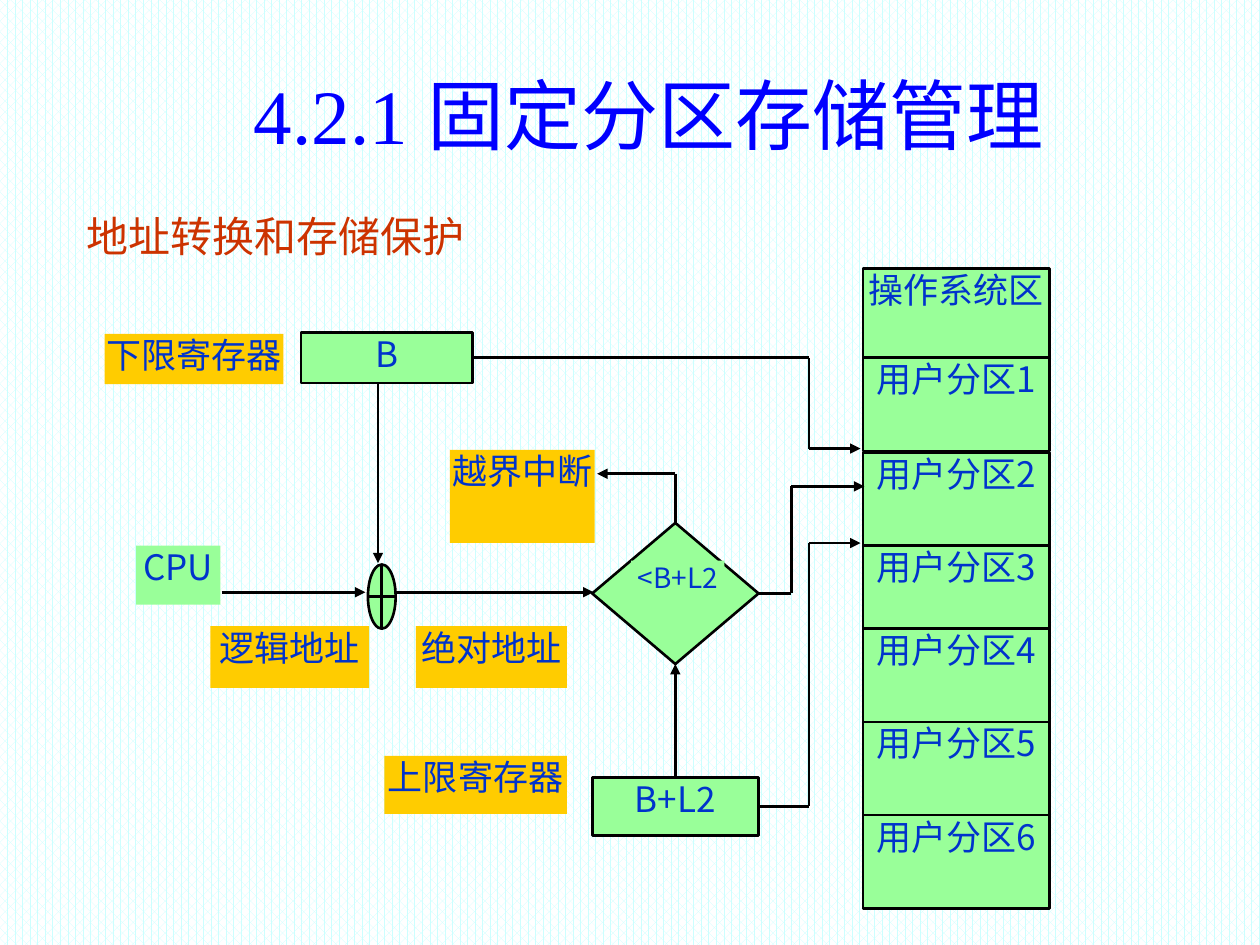
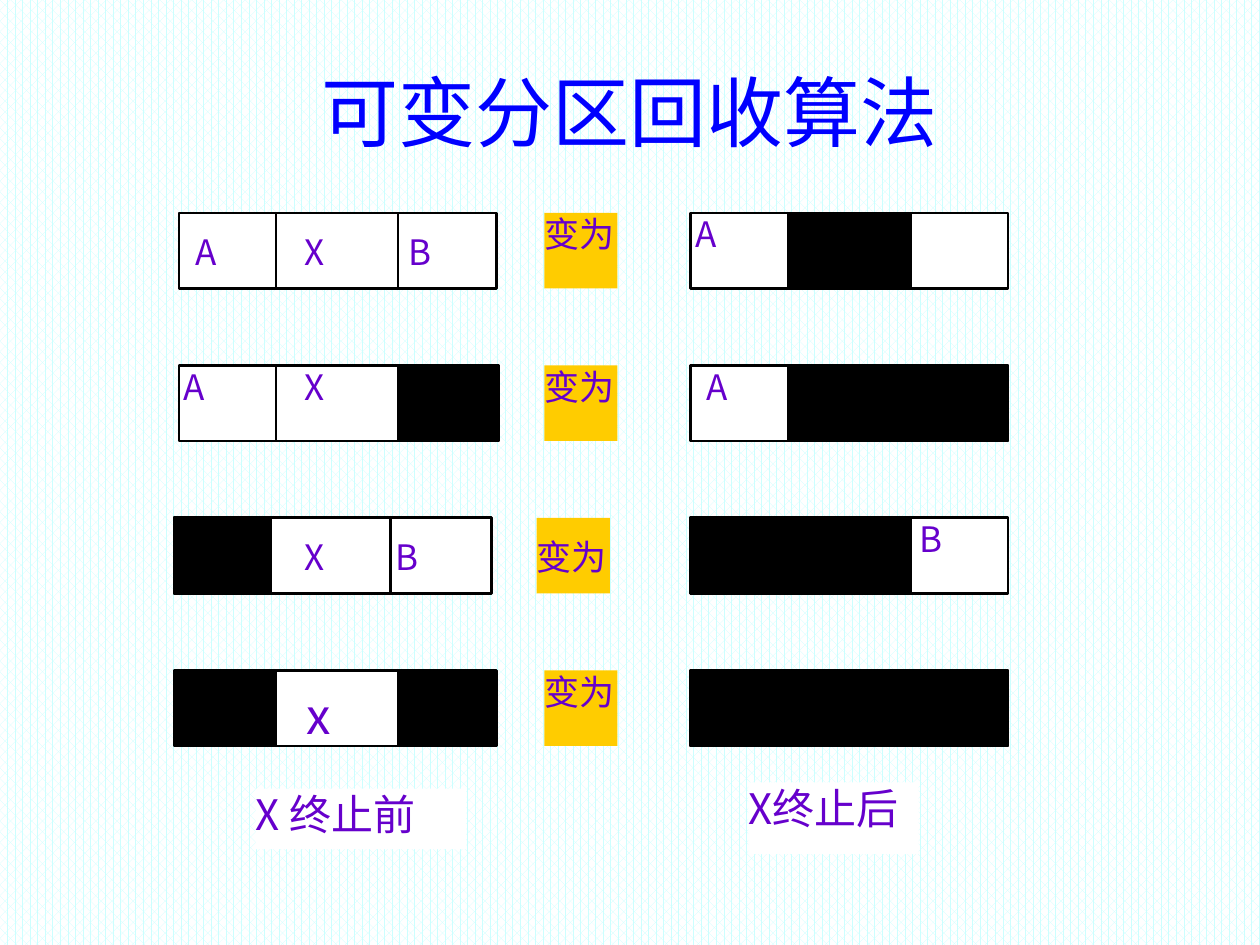
from lxml import etree
from pptx import Presentation
from pptx.dml.color import RGBColor
from pptx.enum.dml import MSO_PATTERN
from pptx.enum.shapes import MSO_CONNECTOR, MSO_SHAPE
from pptx.enum.text import MSO_ANCHOR, PP_ALIGN
from pptx.oxml.ns import qn
from pptx.util import Cm, Pt

RECT = MSO_SHAPE.RECTANGLE
DIAMOND = MSO_SHAPE.FLOWCHART_DECISION
OR = MSO_SHAPE.FLOWCHART_OR
STRAIGHT = MSO_CONNECTOR.STRAIGHT
CENTER, LEFT = PP_ALIGN.CENTER, PP_ALIGN.LEFT
TOP, MIDDLE = MSO_ANCHOR.TOP, MSO_ANCHOR.MIDDLE
DOTS = MSO_PATTERN.PERCENT_60

SANS, SERIF = "Noto Sans CJK JP", "Times New Roman"
GREEN, GOLD, WHITE, BLACK = "99FF99", "FFCC00", "FFFFFF", "000000"
CYAN, BLUE, NAVY, RED, PURPLE = "CCFFFF", "0000FF", "0033CC", "CC3300", "6600CC"

LABELS = [
    ("下限寄存器", 0.83, 2.65, 1.42, 0.4, GOLD),
    ("逻辑地址", 1.67, 4.97, 1.26, 0.49, GOLD),
    ("绝对地址", 3.3, 4.97, 1.2, 0.49, GOLD),
    ("上限寄存器", 3.05, 6, 1.45, 0.46, GOLD),
    ("越界中断", 3.57, 3.57, 1.15, 0.74, GOLD),
    ("CPU", 1.08, 4.33, 0.67, 0.47, GREEN),
]
NODES = {
    "base": ("B", RECT, 2.39, 2.64, 1.36, 0.4),
    "limit": ("B+L2", RECT, 4.7, 6.17, 1.32, 0.46),
    "test": ("", DIAMOND, 4.7, 4.15, 1.32, 1.12),
    "adder": ("", OR, 2.92, 4.48, 0.22, 0.51),
}
ZONES = [
    ("操作系统区", 2.13), ("用户分区1", 2.84), ("用户分区2", 3.59),
    ("用户分区3", 4.33), ("用户分区4", 4.99), ("用户分区5", 5.73),
    ("用户分区6", 6.47),
]
ROUTES = [
    (("base", 3), None, [(3.75, 2.84), (6.42, 2.84), (6.42, 3.56), (6.83, 3.56)]),
    (("test", 3), None, [(6.02, 4.71), (6.28, 4.71), (6.28, 3.86), (6.86, 3.86)]),
    (("limit", 3), None, [(6.02, 6.4), (6.42, 6.4), (6.42, 4.31), (6.83, 4.31)]),
    (("test", 0), None, [(5.36, 4.15), (5.36, 3.76), (4.74, 3.76)]),
    (("limit", 0), ("test", 2), [(5.36, 6.17), (5.36, 5.27)]),
    (None, None, [(1.76, 4.7), (2.9, 4.7)]),
    (None, None, [(3.13, 4.7), (4.71, 4.7)]),
]

ROW_TOP, ROW_STEP, BAR_W, BAR_H = 1.69, 1.21, 2.52, 0.6
BEFORE = [
    dict(left=1.42, pad=0.14, marks=[("A", 0.13), ("X", 1), ("B", 1.82)],
         cuts=[2.19, 3.16], used=[]),
    dict(left=1.42, pad=0, marks=[("A", 0.04), ("X", 1)],
         cuts=[2.19, 3.16], used=[(3.18, 0.78)]),
    dict(left=1.38, pad=0.14, marks=[("X", 1.04), ("B", 1.76)],
         cuts=[3.1], used=[(1.38, 0.77)]),
    dict(left=1.38, pad=0.12, marks=[("x", 1.05)], size=28,
         cuts=[2.19, 3.16], used=[(1.4, 0.77), (3.16, 0.78)]),
]
AFTER = [
    dict(left=5.48, pad=0, marks=[("A", 0.04)], cuts=[6.26, 7.23], used=[(6.26, 0.97)]),
    dict(left=5.48, pad=0, marks=[("A", 0.13)], cuts=[6.26], used=[(6.26, 1.74)]),
    dict(left=5.48, pad=0, marks=[("B", 1.82)], cuts=[7.23], used=[(5.48, 1.74)]),
    dict(left=5.48, pad=0, marks=[], cuts=[], used=[(5.48, 2.52)]),
]
TURNS = [(4.32, 0), (4.32, 0), (4.26, 0.14), (4.32, 0)]
NOTES = [("X 终止前", 2.03, 6.26, 1.67, 0.48), ("X终止后", 5.94, 6.21, 1.35, 0.57)]


def dist(inches):
    return Cm(inches * 2.54)


def rgb(code):
    return RGBColor.from_string(code)


def write(shape, text, size, color, align, font=SANS):
    para = shape.text_frame.paragraphs[0]
    para.text = text
    para.alignment = align
    for run in para.runs:
        run.font.size = Pt(size)
        run.font.name = font
        run.font.color.rgb = rgb(color)
        east = etree.SubElement(run.font._element, qn("a:ea"))
        east.set("typeface", SANS)


def box(slide, kind, left, top, width, height, fill, edge=False, pad=0):
    shape = slide.shapes.add_shape(kind, *map(dist, (left, top, width, height)))
    shape.shadow.inherit = False
    shape.fill.solid()
    shape.fill.fore_color.rgb = rgb(fill)
    if edge:
        shape.line.color.rgb = rgb(BLACK)
        shape.line.width = Pt(1.5)
    else:
        shape.line.fill.background()
    frame = shape.text_frame
    frame.word_wrap = True
    frame.vertical_anchor = TOP
    frame.margin_left = frame.margin_right = frame.margin_bottom = 0
    frame.margin_top = dist(pad)
    return shape


def line(slide, start, end, width=1.5, arrow=False):
    link = slide.shapes.add_connector(STRAIGHT, *map(dist, start + end))
    link.line.color.rgb = rgb(BLACK)
    link.line.width = Pt(width)
    if arrow:
        tail = etree.SubElement(link.line._get_or_add_ln(), qn("a:tailEnd"))
        tail.set("type", "triangle")
    etree.SubElement(link._element.spPr, qn("a:effectLst"))
    return link


def label(slide, text, place, size, color, align, anchor, wrap):
    area = slide.shapes.add_textbox(*map(dist, place))
    area.text_frame.word_wrap = wrap
    area.text_frame.vertical_anchor = anchor
    write(area, text, size, color, align, SERIF)


def page(deck, title, left, top):
    slide = deck.slides.add_slide(deck.slide_layouts[6])
    fill = slide.background.fill
    fill.patterned()
    fill.pattern = DOTS
    fill.fore_color.rgb = rgb(CYAN)
    fill.back_color.rgb = rgb(WHITE)
    label(slide, title, (left, top, 8.5, 1.25), 44, BLUE, CENTER, MIDDLE, True)
    return slide


def route(slide, nodes, start, end, points):
    pairs = list(zip(points, points[1:]))
    links = [line(slide, a, b, arrow=b == points[-1]) for a, b in pairs]
    if start:
        links[0].begin_connect(nodes[start[0]], start[1])
    if end:
        links[-1].end_connect(nodes[end[0]], end[1])


def fixed(deck):
    slide = page(deck, "4.2.1 固定分区存储管理", 0.9, 0.28)
    label(slide, "地址转换和存储保护", (0.59, 1.62, 3.2, 0.5), 24, RED, LEFT, TOP, False)
    for text, *place, fill in LABELS:
        write(box(slide, RECT, *place, fill), text, 20, NAVY, CENTER)
    for text, top in ZONES:
        zone = box(slide, RECT, 6.85, top, 1.48, 0.74, GREEN, True)
        write(zone, text, 20, NAVY, CENTER)
    nodes = {}
    for name, (text, kind, *place) in NODES.items():
        nodes[name] = box(slide, kind, *place, GREEN, True)
        if text:
            write(nodes[name], text, 20, NAVY, CENTER)
    check = box(slide, RECT, 5.01, 4.45, 0.74, 0.46, GREEN)
    write(check, "<B+L2", 16, NAVY, CENTER)
    for start, end, points in ROUTES:
        route(slide, nodes, start, end, points)
    line(slide, (3, 3.05), (3, 4.47), 0.75, True)


def bar(slide, top, left, pad, marks, cuts, used, size=20):
    shape = box(slide, RECT, left, top, BAR_W, BAR_H, WHITE, True, pad)
    if marks:
        text = "".join("\t" + mark for mark, _ in marks)
        write(shape, text, size, PURPLE, LEFT)
        props = shape.text_frame.paragraphs[0]._p.get_or_add_pPr()
        stops = etree.SubElement(props, qn("a:tabLst"))
        for _, spot in marks:
            etree.SubElement(stops, qn("a:tab"), pos=str(int(dist(spot))), algn="l")
    for cut in cuts:
        line(slide, (cut, top), (cut, top + BAR_H))
    for start, width in used:
        box(slide, RECT, start, top, width, BAR_H, BLACK, True)


def variable(deck):
    slide = page(deck, "可变分区回收算法", 0.75, 0.25)
    for row, (old, new, (left, pad)) in enumerate(zip(BEFORE, AFTER, TURNS)):
        top = ROW_TOP + row * ROW_STEP
        bar(slide, top, **old)
        bar(slide, top, **new)
        turn = box(slide, RECT, left, top, 0.58, BAR_H, GOLD, pad=pad)
        write(turn, "变为", 20, PURPLE, LEFT)
    for text, *place in NOTES:
        write(box(slide, RECT, *place, WHITE), text, 24, PURPLE, LEFT)


def main():
    deck = Presentation()
    deck.slide_width, deck.slide_height = dist(10), dist(7.5)
    fixed(deck)
    variable(deck)
    deck.save("out.pptx")


if __name__ == "__main__":
    main()
